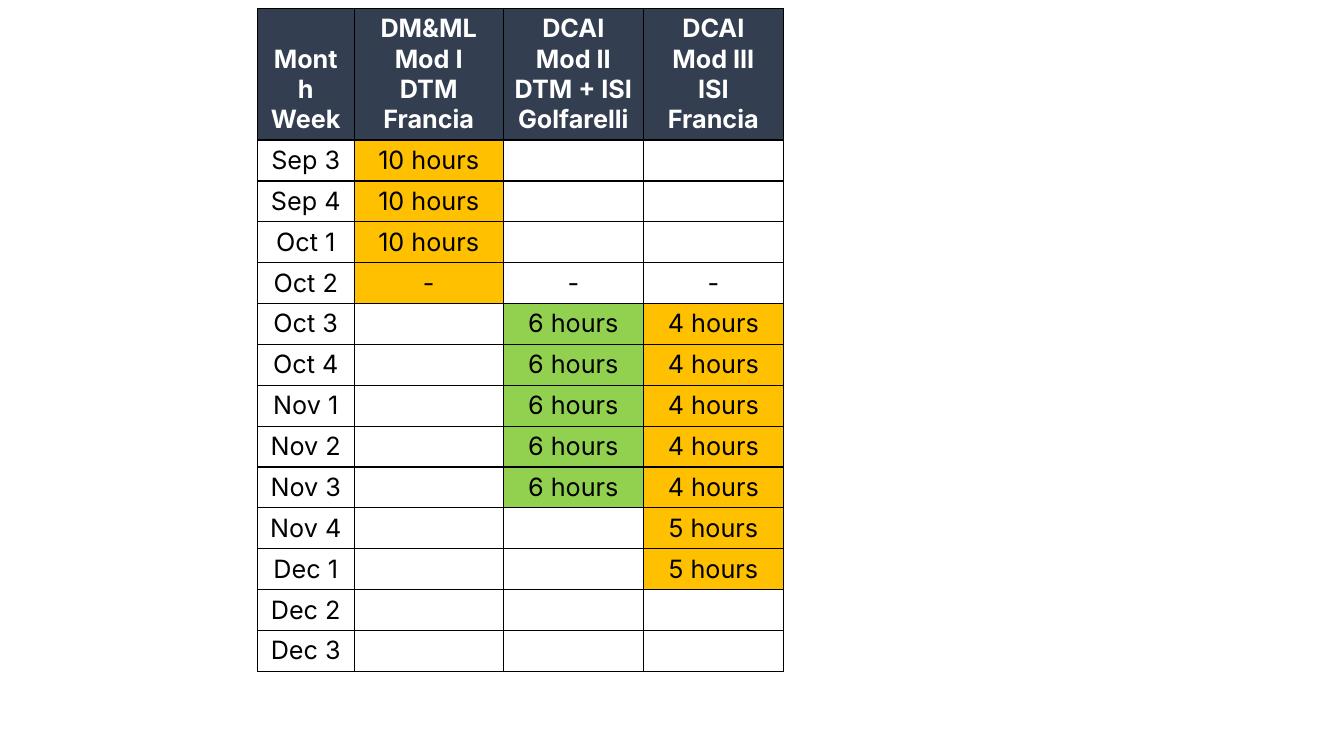
from dataclasses import dataclass

from lxml.etree import SubElement
from pptx import Presentation
from pptx.dml.color import RGBColor
from pptx.enum.text import MSO_ANCHOR as Anchor, PP_ALIGN as Align
from pptx.oxml.ns import qn
from pptx.table import _Cell as Cell
from pptx.util import Inches, Pt

SLIDE_W, SLIDE_H = Inches(13.33), Inches(7.5)

# Grid, as shares of the slide's size
LEFT, TOP = 0.1915, 0.011
COLUMN_SHARES = (0.072, 0.111, 0.1042, 0.1042)
WEEK_HEIGHT = round(SLIDE_H / 18.5)
HEADING_HEIGHT = Inches(1.3)

NAVY, AMBER, GREEN = "333F50", "FFC000", "92D050"
WHITE, BLACK = "FFFFFF", "000000"

# Column headings: "\n" starts a paragraph, "\v" breaks a line
HEADINGS = (
    "Month\vWeek",
    "DM&ML\nMod I\vDTM\vFrancia",
    "DCAI\nMod II\vDTM + ISI\vGolfarelli",
    "DCAI\vMod III\vISI\vFrancia",
)


@dataclass(frozen=True)
class Slot:
    text: str = ""
    fill: str | None = None


@dataclass(frozen=True)
class Week:
    name: str
    first: Slot = Slot()
    second: Slot = Slot()
    third: Slot = Slot()


# Teaching calendar
TEN_HOURS = Slot("10 hours", AMBER)
SIX_HOURS = Slot("6 hours", GREEN)
FOUR_HOURS = Slot("4 hours", AMBER)
FIVE_HOURS = Slot("5 hours", AMBER)
PAUSE = Slot("-")

WEEKS = (
    *(Week(name, first=TEN_HOURS) for name in ("Sep 3", "Sep 4", "Oct 1")),
    Week("Oct 2", Slot("-", AMBER), PAUSE, PAUSE),
    *(Week(name, second=SIX_HOURS, third=FOUR_HOURS)
      for name in ("Oct 3", "Oct 4", "Nov 1", "Nov 2", "Nov 3")),
    *(Week(name, third=FIVE_HOURS) for name in ("Nov 4", "Dec 1")),
    Week("Dec 2"),
    Week("Dec 3"),
)


def rgb(value: str) -> RGBColor:
    return RGBColor.from_string(value)


def add_borders(cell: Cell) -> None:
    properties = cell._tc.get_or_add_tcPr()
    for side in ("a:lnL", "a:lnR", "a:lnT", "a:lnB"):
        line = SubElement(properties, qn(side), w=str(Pt(1)))
        SubElement(SubElement(line, qn("a:solidFill")), qn("a:srgbClr"), val=BLACK)


def draw_slot(cell: Cell, slot: Slot, heading: bool) -> None:
    add_borders(cell)
    if slot.fill:
        cell.fill.solid()
        cell.fill.fore_color.rgb = rgb(slot.fill)
    else:
        cell.fill.background()
    cell.vertical_anchor = Anchor.BOTTOM if heading else Anchor.TOP
    cell.text_frame.text = slot.text
    for paragraph in cell.text_frame.paragraphs:
        paragraph.alignment = Align.CENTER
        for run in paragraph.runs:
            run.font.name = "Inter"
            run.font.size = Pt(18)
            run.font.bold = heading
            run.font.color.rgb = rgb(WHITE if heading else BLACK)


def main() -> None:
    presentation = Presentation()
    presentation.slide_width, presentation.slide_height = SLIDE_W, SLIDE_H
    slide = presentation.slides.add_slide(presentation.slide_layouts[6])

    # Calendar frame
    widths = [round(SLIDE_W * share) for share in COLUMN_SHARES]
    heights = [HEADING_HEIGHT] + [WEEK_HEIGHT] * len(WEEKS)
    calendar = slide.shapes.add_table(
        len(heights), len(widths), round(SLIDE_W * LEFT), round(SLIDE_H * TOP),
        sum(widths), sum(heights)).table
    calendar.first_row = calendar.horz_banding = False
    for column, width in zip(calendar.columns, widths):
        column.width = width
    for row, height in zip(calendar.rows, heights):
        row.height = height

    # Headings, then one row per week
    lines = [[Slot(heading, NAVY) for heading in HEADINGS]]
    lines += [[Slot(week.name), week.first, week.second, week.third] for week in WEEKS]
    for row_index, line in enumerate(lines):
        for column_index, slot in enumerate(line):
            draw_slot(calendar.cell(row_index, column_index), slot, row_index == 0)

    presentation.save("out.pptx")


if __name__ == "__main__":
    main()
